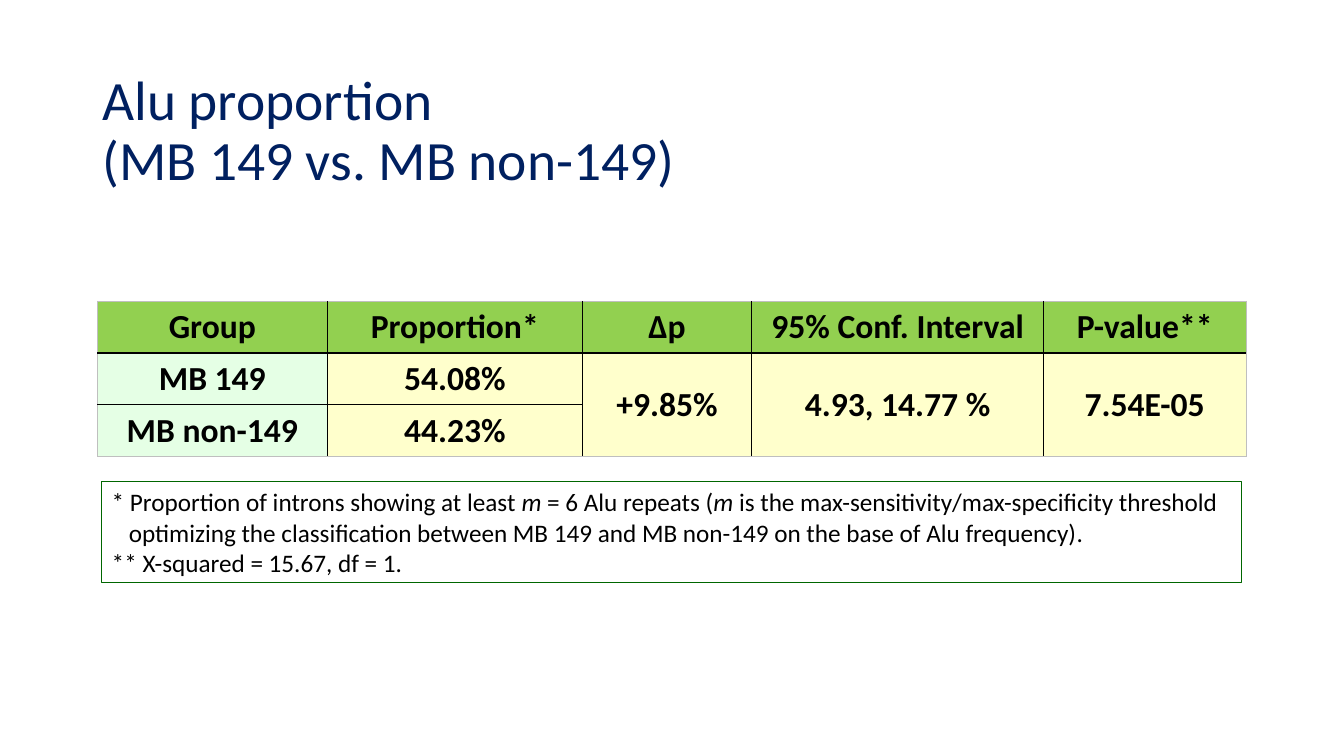
from dataclasses import dataclass

from lxml import etree
from pptx import Presentation
from pptx.dml.color import RGBColor
from pptx.enum.shapes import MSO_SHAPE
from pptx.enum.text import MSO_ANCHOR, PP_ALIGN
from pptx.oxml.ns import qn
from pptx.slide import Slide
from pptx.table import Table, _Cell
from pptx.util import Pt

RECTANGLE = MSO_SHAPE.RECTANGLE
MIDDLE = MSO_ANCHOR.MIDDLE
LEFT, CENTER = PP_ALIGN.LEFT, PP_ALIGN.CENTER
TITLE_ONLY = 5


@dataclass(frozen=True)
class Theme:
    font: str = "Calibri"
    title_size: float = 39.6
    table_size: float = 24
    note_size: float = 18
    title: str = "002060"
    text: str = "000000"
    header_fill: str = "92D050"
    group_fill: str = "E5FFE5"
    value_fill: str = "FFFFCC"
    inner_line: str = "000000"
    outer_line: str = "BFBFBF"
    note_line: str = "006600"


@dataclass(frozen=True)
class Box:
    left: float
    top: float
    width: float
    height: float

    def lengths(self) -> tuple[Pt, Pt, Pt, Pt]:
        return Pt(self.left), Pt(self.top), Pt(self.width), Pt(self.height)


@dataclass(frozen=True)
class NoteLine:
    runs: tuple[tuple[str, bool], ...]  # text, italic
    indent: float = 0


THEME = Theme()
TITLE_BOX = Box(66, 42.5, 828, 104.4)
TABLE_BOX = Box(69.6, 215.2, 820.4, 111)
NOTE_BOX = Box(72.7, 343.6, 814.3, 72.7)
COLUMN_WIDTHS = (164.2, 182.2, 121, 208.5, 144.5)
MERGED_COLUMNS = (2, 3, 4)

TABLE_ROWS = (
    ("Group", "Proportion*", "Δp", "95% Conf. Interval", "P-value**"),
    ("MB 149", "54.08%", "+9.85%", "4.93, 14.77 %", "7.54E-05"),
    ("MB non-149", "44.23%", "", "", ""),
)

NOTE_LINES = (
    NoteLine((
        ("* Proportion of introns showing at least ", False),
        ("m ", True),
        ("= 6 Alu repeats (", False),
        ("m ", True),
        ("is the max-sensitivity/max-specificity threshold", False),
    )),
    NoteLine((
        ("optimizing the classification between MB 149 and MB non-149 "
         "on the base of Alu frequency)", False),
        (".", True),
    ), indent=12.2),
    NoteLine((("** X-squared = 15.67, df = 1.", False),)),
)


def style_font(font, size: float, color: str) -> None:
    font.name = THEME.font
    font.size = Pt(size)
    font.color.rgb = RGBColor.from_string(color)


def add_title(slide: Slide, text: str) -> None:
    title = slide.shapes.title
    title.left, title.top, title.width, title.height = TITLE_BOX.lengths()
    title.text_frame.text = text
    title.text_frame.vertical_anchor = MIDDLE
    paragraph = title.text_frame.paragraphs[0]
    paragraph.alignment = LEFT
    paragraph.line_spacing = 0.9
    style_font(paragraph.font, THEME.title_size, THEME.title)


def add_border(cell: _Cell, side: str, color: str, width: float) -> None:
    properties = cell._tc.get_or_add_tcPr()
    line = etree.SubElement(properties, qn(f"a:ln{side}"), w=str(Pt(width)))
    fill = etree.SubElement(line, qn("a:solidFill"))
    etree.SubElement(fill, qn("a:srgbClr"), val=color)


def format_cell(table: Table, row: int, column: int) -> None:
    cell = table.cell(row, column)
    # Borders come before the fill in the cell properties
    last_row = row + (cell.span_height if cell.is_merge_origin else 1)
    on_edge = {
        "L": column == 0,
        "R": column == len(COLUMN_WIDTHS) - 1,
        "T": row == 0,
        "B": last_row == len(TABLE_ROWS),
    }
    for side, is_outer in on_edge.items():
        if is_outer:
            add_border(cell, side, THEME.outer_line, 0.5)
        else:
            add_border(cell, side, THEME.inner_line, 1)

    if row == 0:
        color = THEME.header_fill
    else:
        color = THEME.group_fill if column == 0 else THEME.value_fill
    cell.fill.solid()
    cell.fill.fore_color.rgb = RGBColor.from_string(color)

    cell.vertical_anchor = MIDDLE
    paragraph = cell.text_frame.paragraphs[0]
    paragraph.alignment = CENTER
    style_font(paragraph.font, THEME.table_size, THEME.text)
    paragraph.font.bold = True


def add_result_table(slide: Slide) -> None:
    table = slide.shapes.add_table(
        len(TABLE_ROWS), len(COLUMN_WIDTHS), *TABLE_BOX.lengths()).table
    for column, width in zip(table.columns, COLUMN_WIDTHS):
        column.width = Pt(width)
    for column in MERGED_COLUMNS:
        table.cell(1, column).merge(table.cell(2, column))
    for row, texts in enumerate(TABLE_ROWS):
        for column, text in enumerate(texts):
            if text:
                table.cell(row, column).text = text
            format_cell(table, row, column)


def add_note(slide: Slide) -> None:
    note = slide.shapes.add_shape(RECTANGLE, *NOTE_BOX.lengths())
    note.shadow.inherit = False
    note.fill.background()
    note.line.color.rgb = RGBColor.from_string(THEME.note_line)
    note.line.width = Pt(0.75)
    frame = note.text_frame
    frame.word_wrap = True
    frame.vertical_anchor = MIDDLE
    for index, note_line in enumerate(NOTE_LINES):
        paragraph = frame.add_paragraph() if index else frame.paragraphs[0]
        paragraph.alignment = LEFT
        if note_line.indent:
            paragraph._p.get_or_add_pPr().set("marL", str(Pt(note_line.indent)))
        style_font(paragraph.font, THEME.note_size, THEME.text)
        for text, italic in note_line.runs:
            run = paragraph.add_run()
            run.text = text
            run.font.italic = italic


def main() -> None:
    presentation = Presentation()
    presentation.slide_width, presentation.slide_height = Pt(960), Pt(540)
    slide = presentation.slides.add_slide(
        presentation.slide_layouts[TITLE_ONLY])
    add_title(slide, "Alu proportion\v(MB 149 vs. MB non-149)")
    add_result_table(slide)
    add_note(slide)
    presentation.save("out.pptx")


if __name__ == "__main__":
    main()
